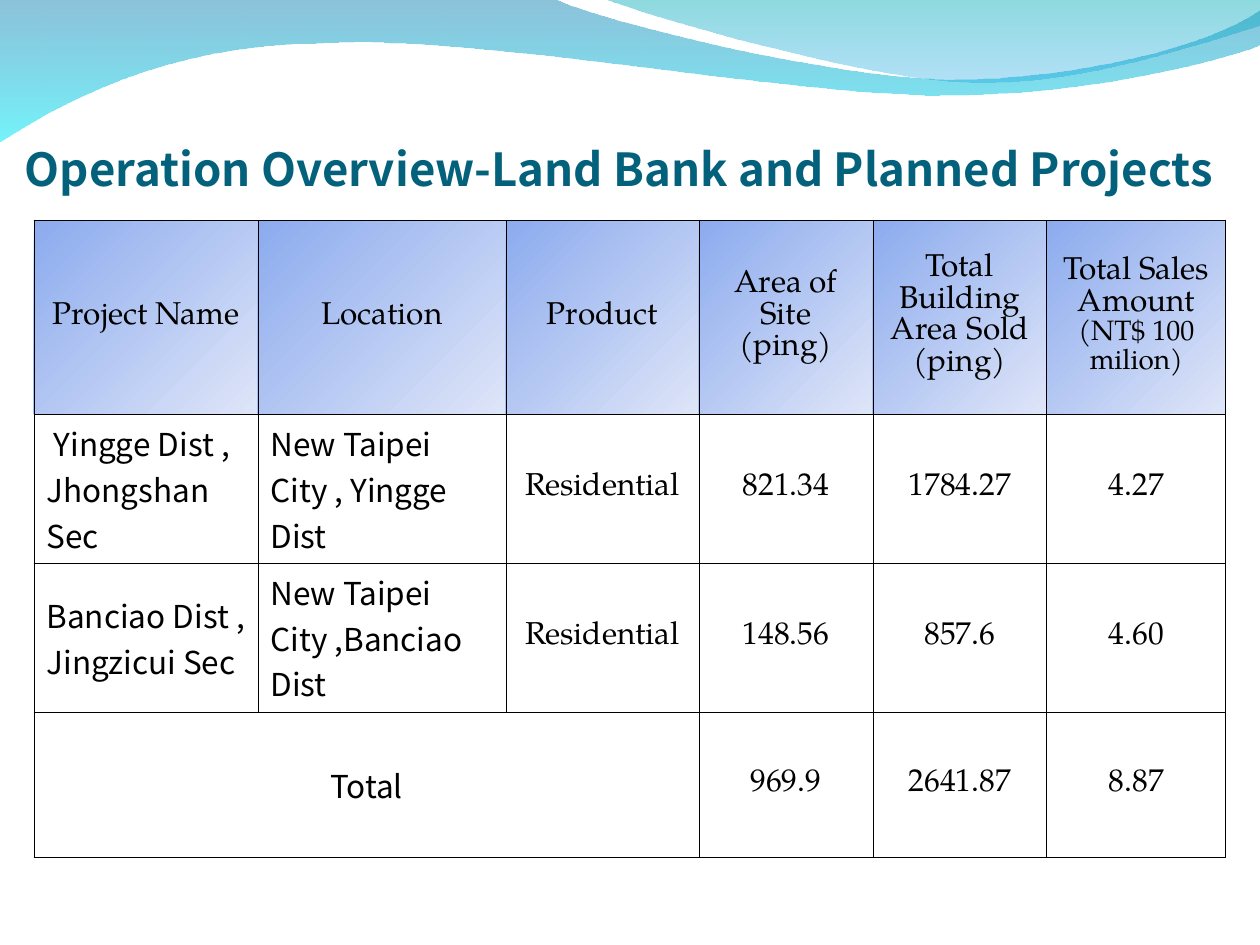
from lxml import etree
from pptx import Presentation
from pptx import util as u
from pptx.dml.color import RGBColor
from pptx.enum import text
from pptx.oxml import ns

SCALE = 914400 / 126
SERIF = "TeX Gyre Pagella"
SANS = "Noto Sans CJK TC"


def px(value):
    return u.Emu(round(value * SCALE))


def paint(item, kind, colours, angle=0):
    if kind == "font":
        item.color.rgb = RGBColor.from_string(colours)
        return
    item.gradient()
    item.gradient_angle = 360 - angle
    for stop, colour in zip(item.gradient_stops, colours):
        stop.color.rgb = RGBColor.from_string(colour)


deck = Presentation()
deck.slide_width, deck.slide_height = px(1260), px(945)
slide = deck.slides.add_slide(deck.slide_layouts[6])

waves = [
    {
        "start": (0, -1),
        "segments": [
            [(554, -1)],
            [(600, 21), (837, 79), (955, 79)],
            [(1075, 79), (1207, 47), (1260, 11)],
            [(1261, 45)],
            [(1239, 55), (1096, 96), (940, 95)],
            [(783, 95), (481, 35), (324, 43)],
            [(163, 44), (58, 105), (-1, 142)],
        ],
        "colours": ["0079AF", "00EBF8"],
        "opacity": [45, 55],
    },
    {
        "start": (604, -1),
        "segments": [
            [(641, 14), (859, 78), (969, 82)],
            [(1079, 87), (1211, 40), (1260, 26)],
            [(1260, 0)],
        ],
        "colours": ["00ADB6", "009BE5"],
        "opacity": [45, 30],
    },
]
for wave in waves:
    points = [(px(x), px(y)) for segment in wave["segments"] for x, y in segment]
    builder = slide.shapes.build_freeform(*map(px, wave["start"]), scale=1.0)
    builder.add_line_segments(points, close=True)
    shape = builder.convert_to_shape()
    shape.shadow.inherit = False
    shape.line.fill.background()
    lines = iter(list(shape._element.spPr.iter(ns.qn("a:lnTo"))))
    for segment in wave["segments"]:
        first, *others = [next(lines) for point in segment]
        if others:
            curve = etree.Element(ns.qn("a:cubicBezTo"))
            first.addprevious(curve)
            for line in (first, *others):
                curve.append(line[0])
                line.getparent().remove(line)
    paint(shape.fill, "gradient", wave["colours"], 90)
    for colour, opacity in zip(shape._element.spPr.iter(ns.qn("a:srgbClr")), wave["opacity"]):
        etree.SubElement(colour, ns.qn("a:alpha"), val=str(opacity * 1000))

box = slide.shapes.add_textbox(px(25), px(86), px(1211), px(110))
frame_format = {
    "word_wrap": True,
    "vertical_anchor": text.MSO_ANCHOR.BOTTOM,
    "margin_left": 0,
    "margin_top": px(6),
    "margin_right": 0,
    "margin_bottom": 0,
}
for name, value in frame_format.items():
    setattr(box.text_frame, name, value)
span = box.text_frame.paragraphs[0].add_run()
span.text = "Operation Overview-Land Bank and Planned Projects"
for name, value in {"name": "Noto Sans CJK SC", "size": u.Pt(26), "bold": True}.items():
    setattr(span.font, name, value)
paint(span.font, "font", "04617B")

rows = [
    ["Project Name", "Location", "Product", "Area of Site\n(ping)",
     "Total Building Area Sold\n(ping)", "Total Sales Amount\n(NT$ 100 milion)"],
    [" Yingge Dist , Jhongshan Sec", "New Taipei City , Yingge Dist",
     "Residential", "821.34", "1784.27", "4.27"],
    ["Banciao Dist , Jingzicui Sec", "New Taipei City ,Banciao Dist",
     "Residential", "148.56", "857.6", "4.60"],
    ["Total", "", "", "969.9", "2641.87", "8.87"],
]
widths = [224, 248, 193, 174, 174, 179]
heights = [194, 149, 149, 145]
table = slide.shapes.add_table(
    len(rows), len(widths), px(34), px(220), px(sum(widths)), px(sum(heights))
).table
table.first_row = table.horz_banding = False
for column, width in zip(table.columns, widths):
    column.width = px(width)
for row, height in zip(table.rows, heights):
    row.height = px(height)
table.cell(3, 0).merge(table.cell(3, 2))

for r, row in enumerate(rows):
    for c, content in enumerate(row):
        cell = table.cell(r, c)
        cell.vertical_anchor = text.MSO_ANCHOR.MIDDLE
        properties = cell._tc.get_or_add_tcPr()
        for side in ("lnL", "lnR", "lnT", "lnB"):
            border = etree.SubElement(properties, ns.qn(f"a:{side}"), w=str(u.Pt(0.45)))
            solid = etree.SubElement(border, ns.qn("a:solidFill"))
            etree.SubElement(solid, ns.qn("a:srgbClr"), val="000000")
        if r == 0:
            paint(cell.fill, "gradient", ["8CABEE", "DEE5F8"], 45)
        else:
            cell.fill.background()
        if not content:
            continue
        sans = r > 0 and c < 2
        left = sans and r < 3
        cell.text = content
        for para in cell.text_frame.paragraphs:
            para.alignment = text.PP_ALIGN.LEFT if left else text.PP_ALIGN.CENTER
            for span in para.runs:
                size = 16 if span.text.startswith("(NT$") else 18
                for name, value in {"name": SANS if sans else SERIF, "size": u.Pt(size)}.items():
                    setattr(span.font, name, value)
                paint(span.font, "font", "000000")

deck.save("out.pptx")
